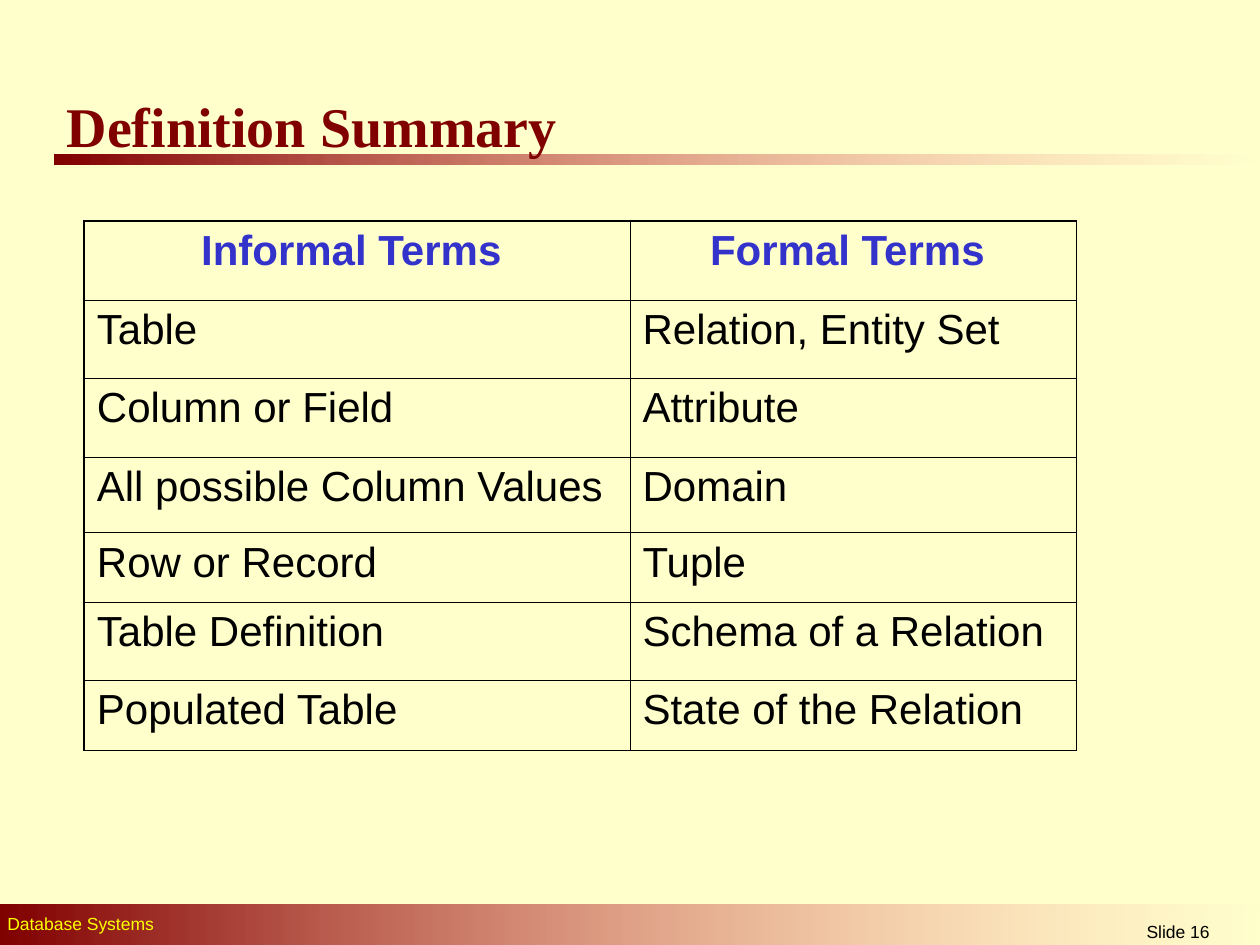
"""Build the Definition Summary slide with its table of informal and formal terms."""
from lxml.etree import SubElement
from pptx import Presentation
from pptx.dml.color import RGBColor
from pptx.enum.shapes import MSO_SHAPE
from pptx.enum.text import MSO_ANCHOR, MSO_AUTO_SIZE, PP_ALIGN
from pptx.oxml import parse_xml
from pptx.oxml.ns import nsdecls, qn
from pptx.util import Cm, Pt

TITLE = "Definition Summary"
TERMS = [
    ("Informal Terms ", "Formal Terms "),
    ("Table", "Relation, Entity Set"),
    ("Column or Field", "Attribute"),
    ("All possible Column Values", "Domain"),
    ("Row or Record", "Tuple"),
    ("Table Definition", "Schema of a Relation"),
    ("Populated Table", "State of the Relation"),
]
COLUMN_WIDTHS = [11, 9]
ROW_HEIGHTS = [1.6, 1.57, 1.6, 1.52, 1.4, 1.57, 1.42]
BARS = [(1.09, 3.12, 24.31, 0.2), (0, 18.24, 25.48, 0.89)]
FOOTERS = [
    ("Database Systems", (-0.1, 18.29, 16.4, 0.69), "yellow", PP_ALIGN.LEFT),
    ("Slide 16", (21.11, 18.44, 5.28, 0.61), "black", PP_ALIGN.CENTER),
]
COLORS = {
    "background": "FFFFCC",
    "maroon": "800000",
    "pink": "FF8585",
    "yellow": "FFFF00",
    "blue": "3333CC",
    "black": "000000",
}
THIN, THICK = Pt(0.45), Pt(1.08)


def color(name):
    return RGBColor.from_string(COLORS[name])


def format_text(text_frame, size, color_name, alignment, font="Arial", bold=False):
    paragraph = text_frame.paragraphs[0]
    paragraph.alignment = alignment
    for run in paragraph.runs:
        run.font.name = font
        run.font.size = Pt(size)
        run.font.bold = bold
        run.font.color.rgb = color(color_name)


def add_title(slide):
    title = slide.shapes.title
    title.left, title.top, title.width, title.height = Cm(1.09), Cm(1.93), Cm(11.3), Cm(1.2)
    text_frame = title.text_frame
    text_frame.text = TITLE
    text_frame.auto_size = MSO_AUTO_SIZE.NONE
    text_frame.vertical_anchor = MSO_ANCHOR.MIDDLE
    format_text(text_frame, 32, "maroon", PP_ALIGN.LEFT, "Times New Roman", True)


def add_bar(slide, box):
    bar = slide.shapes.add_shape(MSO_SHAPE.RECTANGLE, *map(Cm, box))
    bar.shadow.inherit = False
    bar.line.fill.background()
    bar.fill.gradient()
    bar.fill.gradient_angle = 0
    for stop, name, position in zip(bar.fill.gradient_stops, ("maroon", "pink"), (0, 1)):
        stop.color.rgb = color(name)
        stop.position = position
    end_color = list(bar._element.spPr.iter(qn("a:srgbClr")))[-1]
    SubElement(end_color, qn("a:alpha"), val="0")


def add_footer(slide, text, box, color_name, alignment):
    footer = slide.shapes.add_textbox(*map(Cm, box))
    footer.text_frame.word_wrap = True
    footer.text_frame.text = text
    format_text(footer.text_frame, 10, color_name, alignment)


def set_borders(cell, widths):
    properties = cell._tc.get_or_add_tcPr()
    for index, (side, width) in enumerate(zip("LRTB", widths)):
        properties.insert(index, parse_xml(
            f'<a:ln{side} {nsdecls("a")} w="{width}"><a:solidFill>'
            f'<a:srgbClr val="{COLORS["black"]}"/></a:solidFill></a:ln{side}>'
        ))


def add_terms_table(slide):
    row_count, column_count = len(TERMS), len(COLUMN_WIDTHS)
    table = slide.shapes.add_table(
        row_count, column_count, Cm(1.7), Cm(4.45),
        Cm(sum(COLUMN_WIDTHS)), Cm(sum(ROW_HEIGHTS)),
    ).table
    table.horz_banding = False
    for column, width in zip(table.columns, COLUMN_WIDTHS):
        column.width = Cm(width)
    for row, height in zip(table.rows, ROW_HEIGHTS):
        row.height = Cm(height)
    for row_index, terms in enumerate(TERMS):
        header = row_index == 0
        for column_index, term in enumerate(terms):
            cell = table.cell(row_index, column_index)
            cell.text_frame.text = term
            format_text(
                cell.text_frame, 24, "blue" if header else "black",
                PP_ALIGN.CENTER if header else PP_ALIGN.LEFT, bold=header,
            )
            cell.fill.background()
            outer_sides = (
                column_index == 0, column_index == column_count - 1,
                header, row_index == row_count - 1,
            )
            set_borders(cell, [THICK if outer else THIN for outer in outer_sides])


def main():
    presentation = Presentation()
    presentation.slide_width, presentation.slide_height = Cm(25.4), Cm(19.05)
    slide = presentation.slides.add_slide(presentation.slide_layouts[5])
    slide.background.fill.solid()
    slide.background.fill.fore_color.rgb = color("background")
    for box in BARS:
        add_bar(slide, box)
    for footer in FOOTERS:
        add_footer(slide, *footer)
    add_title(slide)
    title_element = slide.shapes.title._element
    title_element.getparent().append(title_element)
    add_terms_table(slide)
    presentation.save("out.pptx")


if __name__ == "__main__":
    main()
